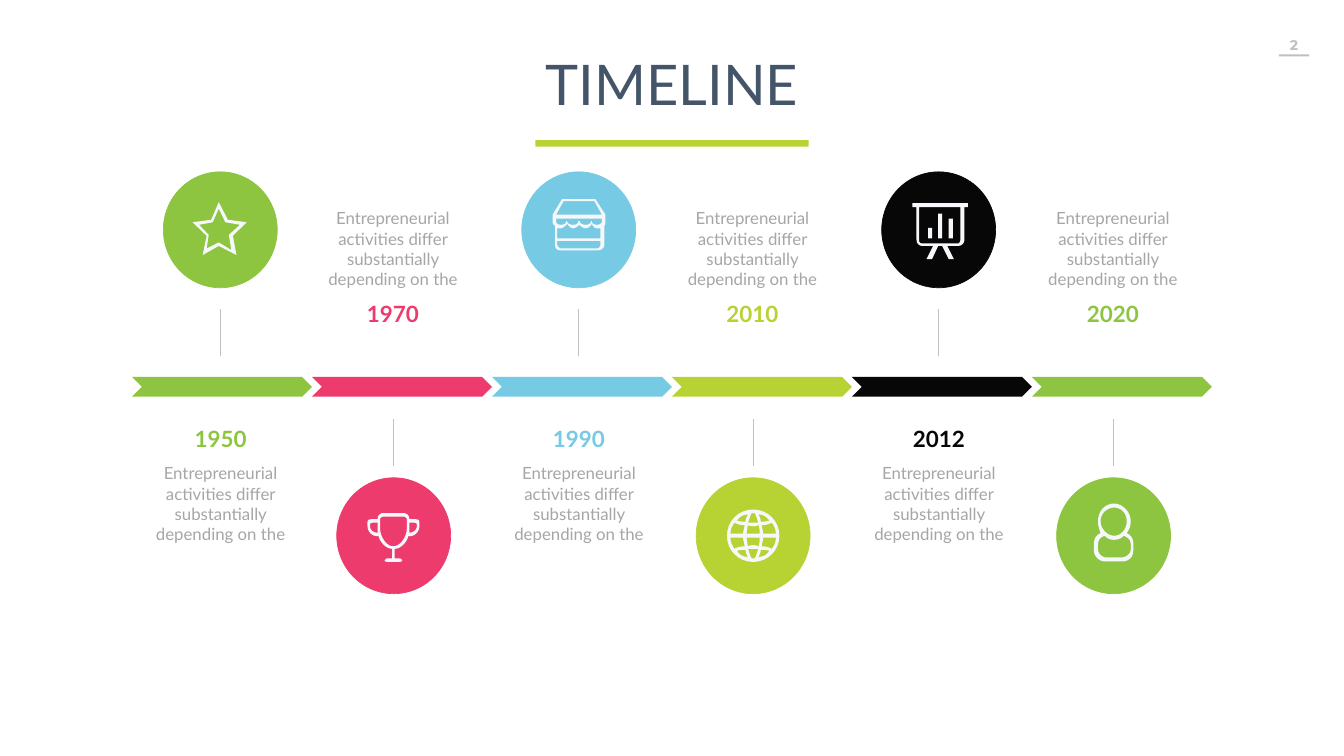
from pptx import Presentation
from pptx.dml.color import RGBColor
from pptx.enum.shapes import MSO_CONNECTOR, MSO_SHAPE
from pptx.enum.text import MSO_ANCHOR, MSO_AUTO_SIZE, PP_ALIGN
from pptx.oxml.ns import qn
from pptx.util import Pt
from lxml.etree import SubElement

PX = 9144  # one px is a hundredth of an inch
GREEN = RGBColor(0x8D, 0xC5, 0x40)
PINK = RGBColor(0xEE, 0x3B, 0x6D)
BLUE = RGBColor(0x76, 0xCA, 0xE3)
LIME = RGBColor(0xB7, 0xD3, 0x33)
BLACK = RGBColor(0x07, 0x07, 0x07)
SLATE = RGBColor(0x44, 0x54, 0x69)
GREY = RGBColor(0xA6, 0xA6, 0xA6)
PALE = RGBColor(0xBF, 0xBF, 0xBF)
ICON = RGBColor(0xF6, 0xF7, 0xFA)


def flip(contour, sx, sy):
    return [tuple(v * (sy if i % 2 else sx) for i, v in enumerate(step)) for step in contour]


def box(left, top, right, bottom):
    return [(left, top), (right, top), (right, bottom), (left, bottom)]


# Icons: contours around the disc centre; a pair is a corner, six numbers a Bezier curve
STAR = [
    [(52, -15), (15, -20), (-3, -55), (-18, -20), (-55, -15), (-27, 12), (-35, 50),
     (-3, 32), (32, 50), (25, 12)],
    [(-3, 25), (-27, 37), (-23, 10), (-42, -10), (-15, -15), (-3, -42), (10, -15),
     (39, -10), (17, 10), (22, 40)],
]
TROPHY = [
    [(31, -33), (31, -40, 26, -45, 19, -45), (-20, -45), (-27, -45, -32, -40, -32, -33),
     (-54, -33, -52, -33, -52, -19), (-52, -9, -44, 1, -32, 1), (-30, 1),
     (-27, 13, -15, 26, -3, 26), (-3, 45), (-13, 45), (-15, 45, -18, 48, -18, 50),
     (-18, 50, -15, 52, -13, 52), (12, 52), (14, 52, 17, 50, 17, 50),
     (17, 48, 14, 45, 12, 45), (2, 45), (2, 26), (14, 26, 26, 13, 29, 1), (31, 1),
     (43, 1, 51, -9, 51, -19), (51, -33, 53, -33, 31, -33)],
    [(-32, -6), (-40, -6, -47, -11, -47, -19), (-47, -26, -47, -26, -32, -26)],
    [(26, -14), (26, 1, 14, 21, -1, 21), (-15, 21, -27, 1, -27, -14), (-27, -33),
     (-27, -36, -22, -38, -20, -38), (19, -38), (21, -38, 26, -36, 26, -33)],
    [(31, -6), (31, -26), (46, -26, 46, -26, 46, -19), (46, -11, 38, -6, 31, -6)],
]
SHOP = [
    [(33, -61), (-33, -61), (-52, -30), (-52, -17), (-52, -12, -50, -10, -47, -8), (-47, 29),
     (-47, 37, -43, 41, -35, 41), (36, 41), (43, 41, 51, 37, 51, 29), (51, -8),
     (53, -10, 53, -12, 53, -17), (53, -30)],
    [(43, 29), (43, 32, 41, 37, 36, 37), (-35, 37), (-38, 37, -43, 32, -43, 29),
     (-43, 22), (43, 22)],
    [(43, 17), (-43, 17), (-43, -3), (-35, -3), (-33, -3, -25, -8, -23, -12),
     (-20, -8, -16, -3, -11, -3), (-6, -3, -1, -8, 2, -10), (2, -8, 9, -3, 14, -3),
     (19, -3, 24, -8, 26, -12), (28, -8, 31, -3, 36, -3), (43, -3)],
    [(46, -17), (46, -12, 41, -10, 36, -10), (31, -10, 26, -12, 26, -17), (24, -17),
     (24, -12, 19, -10, 14, -10), (9, -10, 2, -12, 2, -17), (-1, -17),
     (-1, -12, -6, -10, -11, -10), (-16, -10, -23, -12, -23, -17), (-25, -17),
     (-25, -12, -30, -10, -35, -10), (-40, -10, -45, -12, -45, -17), (-45, -22), (46, -22)],
    [(-45, -30), (-30, -57), (31, -57), (46, -30)],
]
GLOBE_SIDE = [
    [(37, -26), (43, -18, 45, -11, 45, -4), (20, -4), (20, -9, 17, -16, 17, -21),
     (25, -21, 32, -23, 37, -26)],
    [(32, -30), (27, -28, 22, -28, 15, -28), (15, -33, 13, -38, 10, -42),
     (20, -42, 27, -38, 32, -30)],
]
GLOBE_MIDDLE = [
    [(-13, -4), (-13, -9, -11, -13, -11, -21), (-4, -18, 4, -18, 11, -21),
     (13, -13, 13, -9, 13, -4)],
    [(-3, -45), (3, -45), (6, -40, 8, -33, 10, -26), (4, -26, -4, -26, -10, -26),
     (-8, -33, -6, -40, -3, -45)],
]
GLOBE = [
    [(0, -52), (29, -52, 52, -29, 52, 0), (52, 29, 29, 52, 0, 52),
     (-29, 52, -52, 29, -52, 0), (-52, -29, -29, -52, 0, -52)],
    *[flip(c, sx, sy) for c in GLOBE_SIDE for sx in (1, -1) for sy in (1, -1)],
    *[flip(c, 1, sy) for c in GLOBE_MIDDLE for sy in (1, -1)],
]
BOARD = [
    [(-52, -53), (-52, -45), (-44, -45), (-44, 19), (-44, 27, -39, 32, -32, 32), (-11, 32),
     (-24, 58), (-13, 58), (-1, 32), (7, 32), (20, 58), (30, 58), (17, 32), (38, 32),
     (46, 32, 51, 27, 51, 19), (51, -45), (58, -45), (58, -53)],
    [(43, 19), (43, 25, 40, 27, 38, 27), (-32, 27), (-37, 27, -39, 25, -39, 19),
     (-39, -45), (43, -45)],
    *[box(left, top, left + 8, 17) for left, top in ((-21, -4), (-1, -32), (20, -22))],
]
PERSON = [
    [(26, -5), (31, -13, 34, -19, 34, -29), (34, -48, 17, -64, 1, -64),
     (-18, -64, -31, -48, -31, -29), (-31, -19, -28, -13, -26, -5),
     (-34, -2, -39, 6, -39, 14), (-39, 30), (-39, 41, -28, 51, -18, 51), (17, 51),
     (31, 51, 39, 41, 39, 30), (39, 14), (39, 6, 34, -2, 26, -5)],
    [(-26, -29), (-26, -45, -12, -56, 1, -56), (15, -56, 26, -45, 26, -29),
     (26, -13, 15, 0, 1, 0), (-12, 0, -26, -13, -26, -29)],
    [(34, 27), (34, 35, 26, 43, 15, 43), (-15, 43), (-23, 43, -31, 35, -31, 27), (-31, 17),
     (-31, 8, -26, 3, -18, 0), (-12, 6, -7, 8, 1, 8), (7, 8, 15, 6, 20, 0),
     (28, 3, 34, 8, 34, 17)],
]

# Content: year, colour, icon, centre of the column
BLURB = "Entrepreneurial activities differ substantially depending on the"
STEPS = [
    ("1950", GREEN, STAR, 437), ("1970", PINK, TROPHY, 781), ("1990", BLUE, SHOP, 1148),
    ("2010", LIME, GLOBE, 1494), ("2012", BLACK, BOARD, 1862), ("2020", GREEN, PERSON, 2209),
]
STEP_W, DISC_W, DISC_H = 357, 226, 230


def flatten(contour, n=8):
    points = [contour[0]]
    for step in contour[1:]:
        if len(step) == 2:
            points.append(step)
            continue
        ends = [points[-1], step[:2], step[2:4], step[4:]]
        for t in (k / n for k in range(1, n + 1)):
            weights = ((1 - t) ** 3, 3 * t * (1 - t) ** 2, 3 * t * t * (1 - t), t ** 3)
            points.append(tuple(sum(w * e[i] for w, e in zip(weights, ends)) for i in (0, 1)))
    return points


def paint(s, color):
    s.shadow.inherit = False
    s.fill.solid()
    s.fill.fore_color.rgb = color
    s.line.fill.background()


def add_shape(shapes, kind, x, y, w, h, color):
    s = shapes.add_shape(kind, x * PX, y * PX, w * PX, h * PX)
    paint(s, color)
    return s


def add_icon(shapes, contours, cx, cy, color):
    paths = [[((cx + x) * PX, (cy + y) * PX) for x, y in flatten(c)] for c in contours]
    builder = shapes.build_freeform(*paths[0][0], scale=1.0)
    for i, points in enumerate(paths):
        if i:
            builder.move_to(*points[0])
        builder.add_line_segments(points[1:], close=True)
    paint(builder.convert_to_shape(), color)


def add_run(p, text, size, color, bold=False, font="Lato"):
    p.alignment = PP_ALIGN.CENTER
    r = p.add_run()
    r.text = text
    r.font.name, r.font.size, r.font.bold = font, Pt(size), bold
    r.font.color.rgb = color


def add_text(shapes, x, y, w, h, inset_x, inset_y):
    tf = shapes.add_textbox(x * PX, y * PX, w * PX, h * PX).text_frame
    tf.word_wrap = True
    tf.margin_left = tf.margin_right = inset_x * PX
    tf.margin_top = tf.margin_bottom = inset_y * PX
    return tf


prs = Presentation()
prs.slide_width, prs.slide_height = 2666 * PX, 1500 * PX
slide = prs.slides.add_slide(prs.slide_layouts[5])
shapes = slide.shapes

# Title and its rule
title = shapes.title
title.left, title.top, title.width, title.height = 951 * PX, 107 * PX, 764 * PX, 131 * PX
tf = title.text_frame
tf.auto_size, tf.vertical_anchor = MSO_AUTO_SIZE.NONE, MSO_ANCHOR.MIDDLE
tf.paragraphs[0].line_spacing = 0.9
add_run(tf.paragraphs[0], "TIMELINE", 80, SLATE)
add_shape(shapes, MSO_SHAPE.RECTANGLE, 1062, 278, 542, 13, LIME)

# Page number
tf = add_text(shapes, 2520, 62, 94, 54, 20, 10)
add_run(tf.paragraphs[0], "2", 20, PALE, True, "Montserrat")
add_shape(shapes, MSO_SHAPE.RECTANGLE, 2537, 108, 60, 4, PALE)

# Timeline: discs and texts swap sides at every step
for i, (year, color, icon, cx) in enumerate(STEPS):
    disc_above = i % 2 == 0
    add_shape(shapes, MSO_SHAPE.CHEVRON, 262 + i * STEP_W, 748, STEP_W, 39, color)

    # Year and blurb
    tf = add_text(shapes, cx - 178 if disc_above else cx - 180,
                  831 if disc_above else 400, STEP_W, 264, 27, 13)
    lines = [(year, 32, color, True), (BLURB, 24, GREY, False)]
    first, second = lines if disc_above else lines[::-1]
    add_run(tf.paragraphs[0], *first)
    p = tf.add_paragraph()
    p.space_before = Pt(15.6)
    add_run(p, *second)

    # Stem
    start, end = (707, 613) if disc_above else (924, 831)
    stem = shapes.add_connector(MSO_CONNECTOR.STRAIGHT, cx * PX, start * PX, cx * PX, end * PX)
    stem.line.color.rgb, stem.line.width = PALE, Pt(0.75)
    SubElement(stem._element.spPr, qn("a:effectLst"))

    # Disc with icon
    group = shapes.add_group_shape().shapes
    top = 341 if disc_above else 948
    disc = add_shape(group, MSO_SHAPE.OVAL, cx - DISC_W // 2, top, DISC_W, DISC_H, color)
    disc.line.color.rgb, disc.line.width = color, Pt(1)
    add_icon(group, icon, cx, top + DISC_H // 2, ICON)

prs.save("out.pptx")
